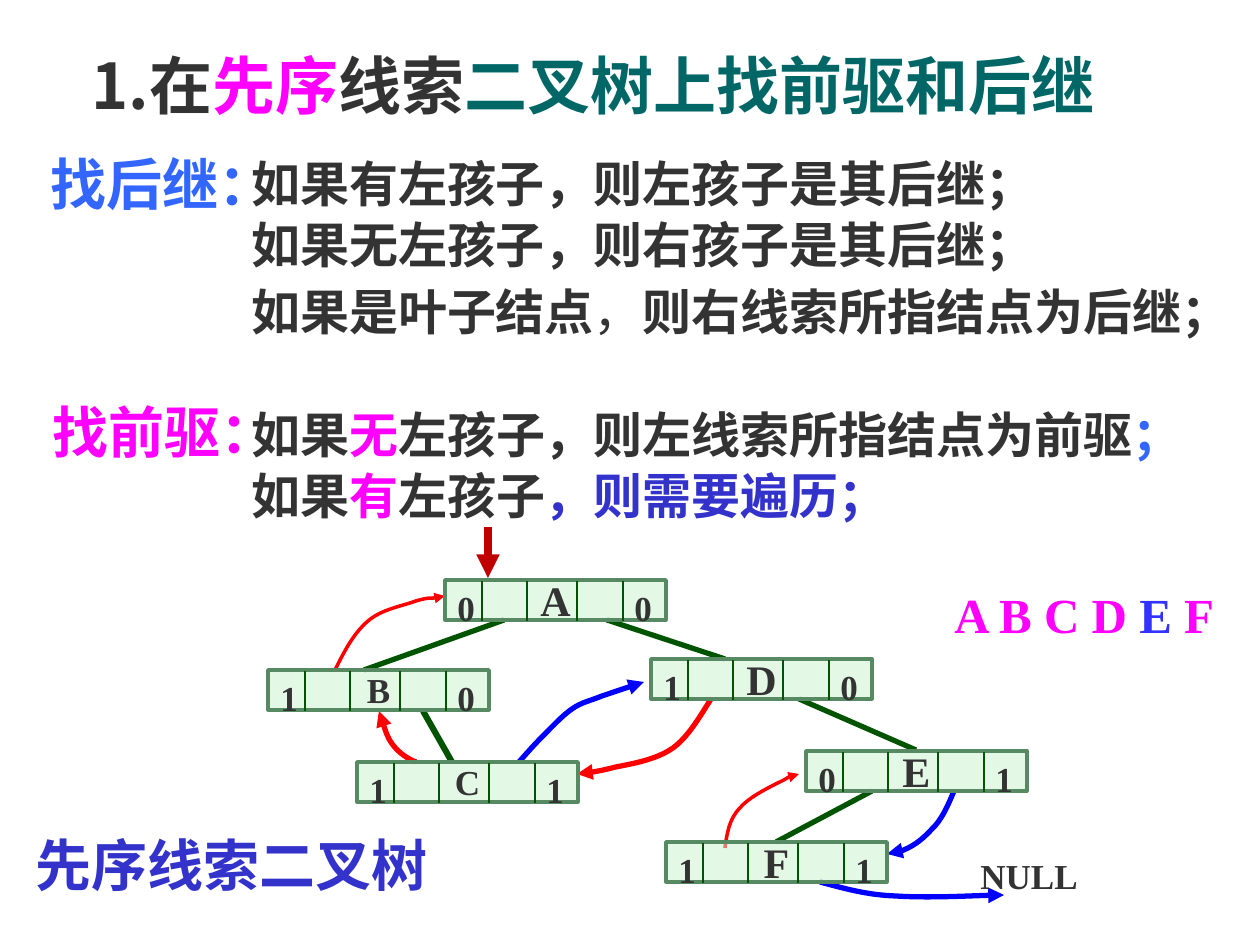
import dataclasses
import typing

import pptx
import pptx.dml.color
import pptx.enum.shapes
import pptx.enum.text
import pptx.oxml
import pptx.oxml.ns
import pptx.oxml.xmlchemy
import pptx.util

RGB = pptx.dml.color.RGBColor
GRAY = RGB(0x33, 0x33, 0x33)
PINK = RGB(0xFF, 0x00, 0xFF)
SKY = RGB(0x33, 0x66, 0xFF)
INDIGO = RGB(0x33, 0x33, 0xCC)
VIOLET = RGB(0x33, 0x33, 0xFF)
TEAL = RGB(0x00, 0x66, 0x66)
GREEN = RGB(0x00, 0x54, 0x00)
MINT = RGB(0xCA, 0xF2, 0xCE)
SAGE = RGB(0x57, 0x89, 0x63)
RED = RGB(0xFF, 0x00, 0x00)
BLUE = RGB(0x00, 0x00, 0xFF)
DARK = RGB(0xC0, 0x00, 0x00)
SANS = "Noto Sans CJK SC"
SERIF = "Times New Roman"
SCALE = 914400 / 126
BARS = (37, 82, 132, 178)
WIDE, HIGH = 221, 40


@dataclasses.dataclass
class Run:
    text: str
    color: RGB = GRAY
    size: float = 28
    bold: bool = True
    font: str = SANS


@dataclasses.dataclass
class Para:
    runs: list[Run]
    pitch: typing.Optional[float] = None
    half: bool = False
    hang: int = 0


@dataclasses.dataclass
class Box:
    x: int
    y: int
    w: int
    h: int
    paras: list[Para]


@dataclasses.dataclass
class Node:
    name: str
    x: int
    y: int
    left: str
    right: str
    size: int = 24


@dataclasses.dataclass
class Line:
    x1: int
    y1: int
    x2: int
    y2: int
    width: float = 3
    color: RGB = GREEN
    arrow: bool = False


@dataclasses.dataclass
class Curve:
    color: RGB
    width: float
    points: list[tuple[int, int]]


def emu(n: float) -> pptx.util.Emu:
    return pptx.util.Emu(round(n * SCALE))


def qn(tag: str) -> str:
    return pptx.oxml.ns.qn(tag)


def make(tag: str, **keys: str) -> typing.Any:
    item = pptx.oxml.parse_xml(f"<{tag} {pptx.oxml.ns.nsdecls('a')}/>")
    for key, value in keys.items():
        item.set(key, value)
    return item


def add_run(para: typing.Any, run: Run) -> None:
    part = para.add_run()
    part.text = run.text
    part.font.size = pptx.util.Pt(run.size)
    part.font.bold = run.bold
    part.font.color.rgb = run.color
    part.font.name = run.font
    part.font._element.find(qn("a:latin")).addnext(make("a:ea", typeface=SANS))


def add_box(shapes: typing.Any, box: Box) -> None:
    frame = shapes.add_textbox(emu(box.x), emu(box.y), emu(box.w), emu(box.h)).text_frame
    frame.word_wrap = True
    for i, item in enumerate(box.paras):
        para = frame.add_paragraph() if i else frame.paragraphs[0]
        props = para._p.get_or_add_pPr()
        if item.half:
            gap = make("a:spcBef")
            gap.append(make("a:spcPct", val="50000"))
            props.append(gap)
        if item.pitch:
            para.line_spacing = pptx.util.Pt(item.pitch)
        if item.hang:
            props.set("marL", str(emu(item.hang)))
            props.set("indent", str(-emu(item.hang)))
        for run in item.runs:
            add_run(para, run)


def style(shape: typing.Any, color: RGB, width: float, arrow: bool = False) -> None:
    shape.line.color.rgb = color
    shape.line.width = pptx.util.Pt(width)
    if arrow:
        shape.element.find(".//" + qn("a:ln")).append(make("a:tailEnd", type="triangle"))


def add_line(shapes: typing.Any, line: Line) -> None:
    kind = pptx.enum.shapes.MSO_CONNECTOR.STRAIGHT
    shape = shapes.add_connector(kind, emu(line.x1), emu(line.y1), emu(line.x2), emu(line.y2))
    style(shape, line.color, line.width, line.arrow)
    shape.element.find(qn("p:spPr")).append(make("a:effectLst"))


def add_curve(shapes: typing.Any, curve: Curve) -> None:
    pen = shapes.build_freeform(*curve.points[0], scale=SCALE)
    pen.add_line_segments(curve.points[1:], close=False)
    shape = pen.convert_to_shape()
    shape.shadow.inherit = False
    shape.fill.background()
    style(shape, curve.color, curve.width, True)
    steps = list(shape.element.iter(qn("a:lnTo")))
    for i in range(0, len(steps), 3):
        bend = make("a:cubicBezTo")
        steps[i].addprevious(bend)
        for step in steps[i:i + 3]:
            bend.append(step[0])
            step.getparent().remove(step)


def add_node(shapes: typing.Any, node: Node) -> None:
    kind = pptx.enum.shapes.MSO_SHAPE.RECTANGLE
    shape = shapes.add_shape(kind, emu(node.x), emu(node.y), emu(WIDE), emu(HIGH))
    shape.shadow.inherit = False
    shape.fill.solid()
    shape.fill.fore_color.rgb = MINT
    shape.element.find(".//" + qn("a:srgbClr")).append(make("a:alpha", val="50000"))
    style(shape, SAGE, 2)
    frame = shape.text_frame
    frame.word_wrap = False
    frame.vertical_anchor = pptx.enum.text.MSO_ANCHOR.MIDDLE
    frame.paragraphs[0].alignment = pptx.enum.text.PP_ALIGN.CENTER
    add_run(frame.paragraphs[0], Run(node.name, size=node.size, font=SERIF))
    for bar in BARS:
        add_line(shapes, Line(node.x + bar, node.y + 1, node.x + bar, node.y + HIGH + 1, 1))
    for x, flag in ((node.x, node.left), (node.x + WIDE - 44, node.right)):
        add_box(shapes, Box(x, node.y, 44, 54, [Para([Run(flag, size=20, font=SERIF)], half=True)]))


EDGES = [Line(504, 620, 364, 670), Line(607, 620, 725, 659), Line(423, 711, 452, 762, 3.5),
         Line(799, 699, 916, 750), Line(872, 791, 776, 842)]
CURVES = [
    Curve(BLUE, 3, [(519, 762), (527, 753), (534, 745), (543, 736), (552, 727), (562, 716), (572, 709),
                    (582, 702), (590, 701), (602, 696), (614, 692), (629, 687), (644, 682)]),
    Curve(RED, 2, [(335, 670), (345, 650), (354, 633), (368, 621), (382, 609), (403, 606), (416, 601),
                   (430, 597), (440, 599), (445, 596)]),
    Curve(RED, 2, [(725, 848), (727, 834), (729, 819), (740, 808), (750, 796), (774, 785), (784, 780),
                   (794, 774), (796, 774), (799, 774)]),
    Curve(RED, 3, [(711, 699), (699, 718), (688, 737), (673, 748), (656, 760), (631, 764), (616, 767),
                   (600, 771), (583, 774), (577, 774)]),
    Curve(BLUE, 3, [(954, 791), (948, 805), (942, 820), (931, 830), (920, 842), (898, 856), (887, 854)]),
    Curve(BLUE, 3, [(820, 882), (843, 888), (866, 895), (896, 896), (927, 898), (989, 895), (1004, 895)]),
    Curve(RED, 3, [(416, 762), (408, 759), (399, 753), (393, 745), (387, 737), (383, 723), (379, 711)]),
]
NODES = [Node("A", 445, 580, "0", "0"), Node("B", 268, 670, "1", "0", 20), Node("D", 651, 659, "1", "0"),
         Node("C", 357, 762, "1", "1", 20), Node("E", 806, 751, "0", "1"), Node("F", 666, 842, "1", "1")]
BOXES = [
    Box(239, 145, 1048, 199, [
        Para([Run("如果有左孩子，则左孩子是其后继；")], 35),
        Para([Run("如果无左孩子，则右孩子是其后继；")], 35),
        Para([Run("如果是叶子结点"), Run("，", bold=False), Run("则右线索所指结点为后继；")], 38)]),
    Box(239, 396, 989, 130, [
        Para([Run("如果"), Run("无", PINK), Run("左孩子，则左线索所指结点为前驱"), Run("；", SKY)], 35),
        Para([Run("如果"), Run("有", PINK), Run("左孩子"), Run("，则需要遍历；", INDIGO)], 35)]),
    Box(968, 848, 125, 54, [Para([Run("NULL", size=20, font=SERIF)], half=True)]),
    Box(23, 820, 470, 81, [Para([Run("先序线索二叉树", INDIGO, 32, font=SERIF)], 41, True)]),
    Box(942, 578, 318, 72, [Para([Run("A B C D ", PINK, font=SERIF), Run("E", VIOLET, font=SERIF),
                                  Run(" F", PINK, font=SERIF)], half=True)]),
    Box(38, 139, 263, 79, [Para([Run("找后继：", SKY, 32)], 41, True)]),
    Box(40, 387, 268, 79, [Para([Run("找前驱：", PINK, 32)], 41, True)]),
    Box(79, 18, 1106, 118, [Para([Run("1.在", size=36), Run("先序", PINK, 36), Run("线索", size=36),
                                  Run("二叉树上找前驱和后继", TEAL, 36)], 56, hang=48)]),
]

deck = pptx.Presentation()
deck.slide_width, deck.slide_height = emu(1260), emu(945)
shapes = deck.slides.add_slide(deck.slide_layouts[6]).shapes
for edge in EDGES:
    add_line(shapes, edge)
for curve in CURVES:
    add_curve(shapes, curve)
for node in NODES:
    add_node(shapes, node)
for box in BOXES:
    add_box(shapes, box)
add_line(shapes, Line(488, 527, 488, 578, 4.5, DARK, True))
deck.save("out.pptx")
